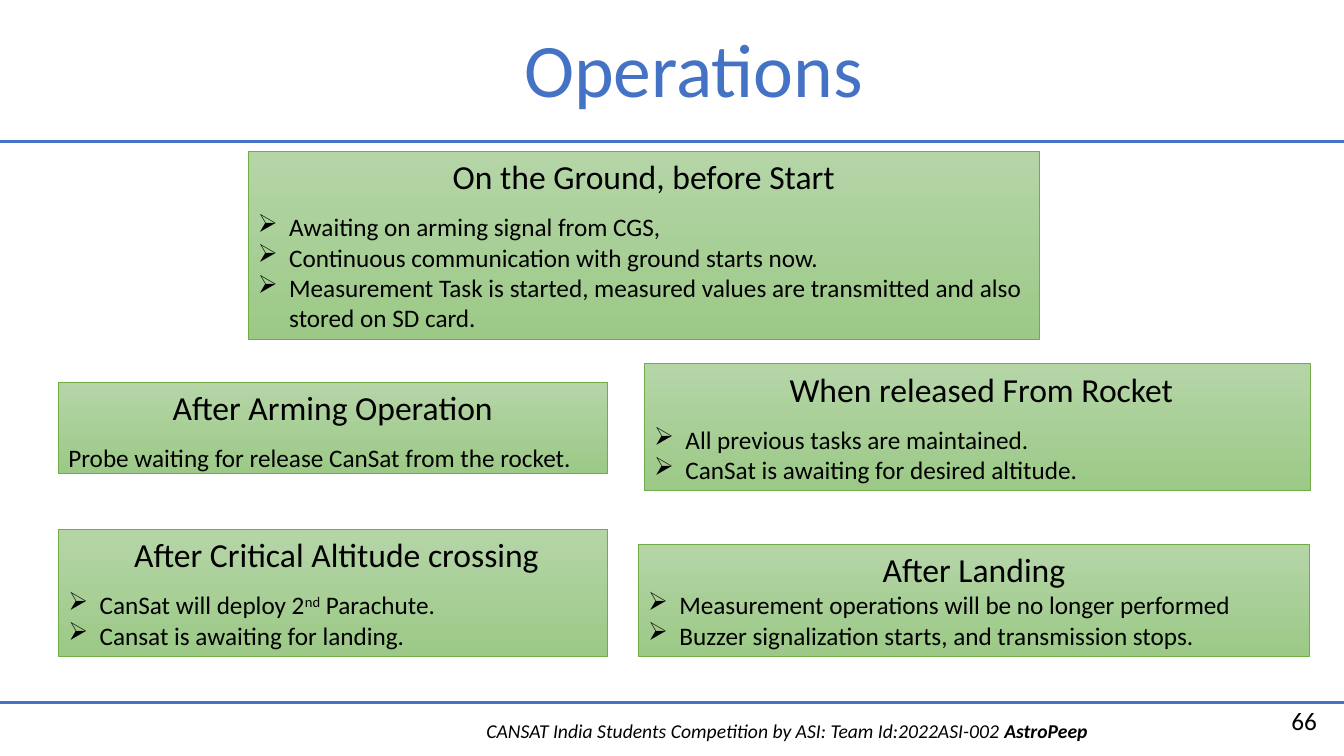
from lxml import etree
from pptx import Presentation
from pptx.dml.color import RGBColor
from pptx.enum.shapes import MSO_CONNECTOR, MSO_SHAPE
from pptx.enum.text import MSO_ANCHOR, PP_ALIGN
from pptx.oxml.ns import qn
from pptx.util import Inches, Pt

BLUE = RGBColor(0x44, 0x72, 0xC4)
BLACK = RGBColor(0x00, 0x00, 0x00)
GREEN_TOP = RGBColor(0xB5, 0xD5, 0xA7)
GREEN_BOTTOM = RGBColor(0x9C, 0xC9, 0x87)
GREEN_LINE = RGBColor(0x70, 0xAD, 0x47)
FONT = "Calibri"
LEFT, CENTER, RIGHT = PP_ALIGN.LEFT, PP_ALIGN.CENTER, PP_ALIGN.RIGHT
TOP, MIDDLE = MSO_ANCHOR.TOP, MSO_ANCHOR.MIDDLE
SUPERSCRIPT = "30000"

presentation = Presentation()
presentation.slide_width = Inches(13.33)
presentation.slide_height = Inches(7.5)
slide = presentation.slides.add_slide(presentation.slide_layouts[6])


def add_run(paragraph, text, size, color=BLACK):
    run = paragraph.add_run()
    run.text = text
    run.font.name = FONT
    run.font.size = Pt(size)
    run.font.color.rgb = color
    return run


def add_label(left, top, width, height, alignment, anchor=TOP, wrap=True):
    label = slide.shapes.add_textbox(
        Inches(left), Inches(top), Inches(width), Inches(height))
    label.text_frame.word_wrap = wrap
    label.text_frame.vertical_anchor = anchor
    paragraph = label.text_frame.paragraphs[0]
    paragraph.alignment = alignment
    return paragraph


# Footer
footer = add_label(4.68, 7.08, 6.25, 0.34, CENTER)
footer_run = add_run(
    footer, "CANSAT India Students Competition by ASI: Team Id:2022ASI-002 ", 14)
team_run = add_run(footer, "AstroPeep", 14)
footer_run.font.italic = team_run.font.italic = True
team_run.font.bold = True

# Rules above the footer and below the title
for y in (6.97, 1.4):
    rule = slide.shapes.add_connector(
        MSO_CONNECTOR.STRAIGHT, Inches(0), Inches(y), Inches(13.33), Inches(y))
    rule.line.color.rgb = BLUE
    rule.line.width = Pt(2)
    etree.SubElement(rule._element.spPr, qn("a:effectLst"))

# Page number
add_run(add_label(10.16, 6.95, 3, 0.4, RIGHT, MIDDLE), "66", 18)

# Operation phases: position, heading, bulleted, first line spacing, lines of runs
phases = [
    ((2.46, 1.5, 7.85, 1.87), "On the Ground, before Start", True, 1.5,
     [["Awaiting on arming signal from CGS,"],
      ["Continuous communication with ground starts now."],
      ["Measurement Task is started, measured values are transmitted "
       "and also stored on SD card."]]),
    ((0.58, 3.79, 5.44, 0.91), "After Arming Operation", False, 1.5,
     [["Probe waiting for release CanSat from the rocket."]]),
    ((6.39, 3.61, 6.61, 1.26), " When released From Rocket", True, 1.5,
     [["All previous tasks are maintained."],
      ["CanSat is awaiting for desired altitude."]]),
    ((0.58, 5.25, 5.44, 1.26), " After Critical Altitude crossing", True, 1.5,
     [["CanSat will deploy 2", "nd", " Parachute."],
      ["Cansat is awaiting for landing."]]),
    ((6.33, 5.4, 6.66, 1.11), "After Landing", True, 1.0,
     [["Measurement operations will be no longer performed"],
      ["Buzzer signalization starts, and transmission stops."]]),
]

for position, heading, bulleted, first_spacing, lines in phases:
    box = slide.shapes.add_shape(
        MSO_SHAPE.RECTANGLE, *[Inches(length) for length in position])
    box.shadow.inherit = False
    box.fill.gradient()
    box.fill.gradient_angle = 270
    for stop, color in zip(box.fill.gradient_stops, (GREEN_TOP, GREEN_BOTTOM)):
        stop.color.rgb = color
    box.fill.gradient_stops[0].position = 0
    box.fill.gradient_stops[1].position = 1
    box.line.color.rgb = GREEN_LINE
    box.line.width = Pt(0.5)

    text_frame = box.text_frame
    text_frame.word_wrap = True
    text_frame.vertical_anchor = TOP
    text_frame.paragraphs[0].alignment = CENTER
    add_run(text_frame.paragraphs[0], heading, 24)

    for index, texts in enumerate(lines):
        paragraph = text_frame.add_paragraph()
        paragraph.alignment = LEFT
        if index == 0:
            paragraph.line_spacing = first_spacing
        if bulleted:
            properties = paragraph._p.get_or_add_pPr()
            properties.set("marL", str(Inches(0.31)))
            properties.set("indent", str(-Inches(0.31)))
            bullet = etree.SubElement(properties, qn("a:buChar"))
            bullet.set("char", "➢")
        for text in texts:
            run = add_run(paragraph, text, 18)
            if text == "nd":
                run._r.get_or_add_rPr().set("baseline", SUPERSCRIPT)

# Title
add_run(add_label(5.08, 0.17, 3.6, 1.01, CENTER, wrap=False), "Operations", 54, BLUE)

presentation.save("out.pptx")
